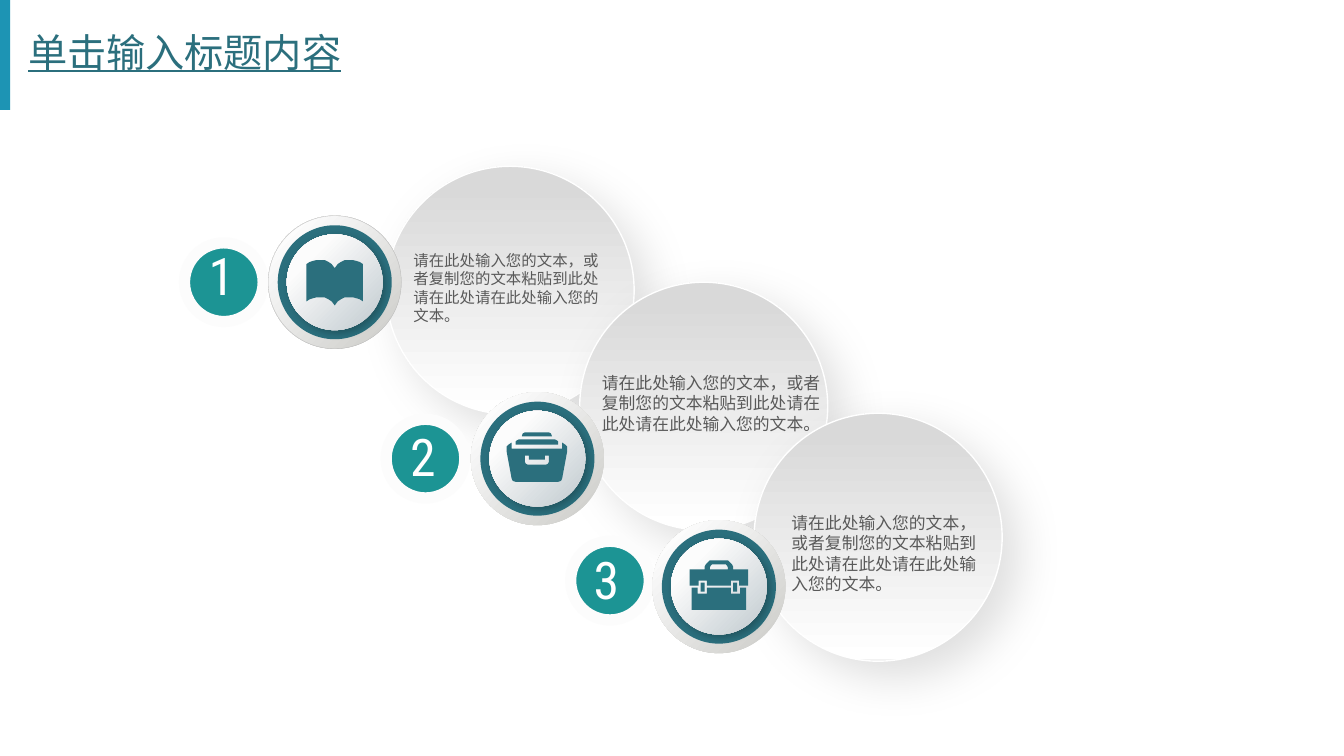
from dataclasses import dataclass

from pptx import Presentation
from pptx.dml.color import RGBColor
from pptx.enum.shapes import MSO_SHAPE
from pptx.enum.text import MSO_ANCHOR, MSO_AUTO_SIZE
from pptx.oxml import parse_xml
from pptx.oxml.ns import nsdecls, qn
from pptx.util import Inches, Pt

TEAL = RGBColor(0x1C, 0x94, 0x94)
DARK_TEAL = RGBColor(0x2B, 0x6F, 0x7D)
BLUE = RGBColor(0x1D, 0x94, 0xB4)
WHITE = RGBColor(0xFF, 0xFF, 0xFF)
NEAR_WHITE = RGBColor(0xFC, 0xFC, 0xFC)
PALE_GREY = RGBColor(0xD9, 0xD9, 0xD9)
WARM_GREY = RGBColor(0xD0, 0xD0, 0xCD)
COOL_GREY = RGBColor(0xC1, 0xCA, 0xCF)
LINE_GREY = RGBColor(0xBF, 0xBF, 0xBF)
TEXT_GREY = RGBColor(0x59, 0x59, 0x59)

BODY = "请在此处输入您的文本，或者复制您的文本粘贴到此处请在此处请在此处输入您的文本。"
BUBBLE_SIZE, DISC_SIZE, BADGE_SIZE = 2.46, 1.32, 0.78

Points = list[tuple[int, int]]


@dataclass
class Gradient:
    stops: list[tuple[int, RGBColor]]
    angle: int


@dataclass
class Shadow:
    opacity: int
    blur: int
    distance: int


@dataclass
class Icon:
    center: float
    top: float
    contours: list[Points]  # hundredths of an inch from the center and top


@dataclass
class Step:
    bubble: tuple[float, float]
    text_box: tuple[float, float, float, float]
    text_size: int
    disc: tuple[float, float]
    badge: tuple[float, float]
    number_box: tuple[float, float, float, float]
    icon: Icon
    disc_line: RGBColor | None = None


BUBBLE_FILL = Gradient([(0, PALE_GREY), (1, WHITE), (92, PALE_GREY)], 270)
DISC_FILL = Gradient([(10, WARM_GREY), (86, NEAR_WHITE)], 225)
FACE_FILL = Gradient([(0, COOL_GREY), (76, NEAR_WHITE)], 225)
BUBBLE_SHADOW = Shadow(13, 33, 16)
FACE_SHADOW = Shadow(23, 6, 3)


def flipped(points: Points) -> Points:
    return [(-x, y) for x, y in reversed(points)]


def mirrored(right_half: Points) -> Points:
    """Complete an outline that is symmetrical about x = 0."""
    return right_half + flipped(right_half)


# Icon outlines
PAGE_EDGE = [(0, 8), (3, 4), (6, 2), (10, 0), (18, 0), (22, 1), (25, 2), (28, 4)]
BOOK = Icon(3.32, 2.58, [
    mirrored(PAGE_EDGE + [(x, y + 37) for x, y in reversed(PAGE_EDGE)])])
FILE_BOX = Icon(5.325, 4.29, [
    mirrored([(12, 0), (14, 1), (15, 4)]),
    mirrored([(18, 7), (20, 8), (21, 9), (21, 12)]),
    mirrored([(25, 16), (25, 10), (28, 12), (30, 14), (30, 19),
              (25, 46), (24, 48), (21, 49)]),
    mirrored([(8, 27), (8, 23), (12, 23), (12, 29), (11, 31), (9, 32)])])
LATCH = [(14, 22), (18, 22), (18, 31), (14, 31)]
BRIEFCASE = Icon(7.13, 5.56, [
    mirrored([(12, 27), (12, 33), (21, 33), (21, 27), (27, 27), (27, 49)]),
    LATCH, flipped(LATCH),
    mirrored([(7, 4), (8, 5), (9, 7), (9, 9)]),
    mirrored([(7, 0), (9, 0), (11, 2), (13, 4), (14, 6), (14, 9), (29, 9),
              (29, 25), (20, 25), (20, 20), (12, 20), (12, 25)])])

STEPS = [
    Step((3.83, 1.65), (3.97, 2.42, 2.24, 0.88), 11, (2.66, 2.14),
         (1.83, 2.41), (1.97, 2.37, 0.4, 0.72), BOOK, LINE_GREY),
    Step((5.75, 2.8), (5.84, 3.63, 2.46, 0.74), 12, (4.67, 3.89),
         (3.83, 4.16), (3.97, 4.16, 0.46, 0.72), FILE_BOX),
    Step((7.48, 4.1), (7.72, 5.02, 2.1, 0.94), 12, (6.47, 5.16),
         (5.66, 5.37), (5.79, 5.38, 0.48, 0.72), BRIEFCASE),
]


def paint(shape, fill: RGBColor | Gradient | None, line: RGBColor | None = None,
          line_width: float = 1, shadow: Shadow | None = None) -> None:
    shape.shadow.inherit = False
    properties = shape._element.spPr
    if isinstance(fill, Gradient):
        stops = "".join(f'<a:gs pos="{position * 1000}"><a:srgbClr val="{color}"/></a:gs>'
                        for position, color in fill.stops)
        properties.find(qn("a:prstGeom")).addnext(parse_xml(
            f'<a:gradFill {nsdecls("a")} rotWithShape="1"><a:gsLst>{stops}</a:gsLst>'
            f'<a:lin ang="{fill.angle * 60000}" scaled="0"/></a:gradFill>'))
    elif fill is None:
        shape.fill.background()
    else:
        shape.fill.solid()
        shape.fill.fore_color.rgb = fill
    if line is None:
        shape.line.fill.background()
    else:
        shape.line.color.rgb = line
        shape.line.width = Pt(line_width)
    if shadow:
        properties.find(qn("a:effectLst")).append(parse_xml(
            f'<a:outerShdw {nsdecls("a")} blurRad="{Pt(shadow.blur)}" '
            f'dist="{Pt(shadow.distance)}" dir="2700000" algn="tl" rotWithShape="0">'
            f'<a:srgbClr val="000000"><a:alpha val="{shadow.opacity * 1000}"/>'
            '</a:srgbClr></a:outerShdw>'))


def add_circle(slide, left: float, top: float, size: float, fill, **style) -> None:
    circle = slide.shapes.add_shape(
        MSO_SHAPE.OVAL, Inches(left), Inches(top), Inches(size), Inches(size))
    paint(circle, fill, **style)


def add_text(slide, text: str, box: tuple[float, float, float, float], *, size: int,
             font: str, color: RGBColor, margins: tuple[float, float] = (0.1, 0.05),
             wrap: bool = True, grow: bool = True, underline: bool = False,
             anchor=MSO_ANCHOR.TOP, line_spacing: float | None = None) -> None:
    frame = slide.shapes.add_textbox(*map(Inches, box)).text_frame
    frame.word_wrap = wrap
    frame.auto_size = MSO_AUTO_SIZE.SHAPE_TO_FIT_TEXT if grow else MSO_AUTO_SIZE.NONE
    frame.vertical_anchor = anchor
    frame.margin_left = frame.margin_right = Inches(margins[0])
    frame.margin_top = frame.margin_bottom = Inches(margins[1])
    paragraph = frame.paragraphs[0]
    paragraph.line_spacing = line_spacing
    run = paragraph.add_run()
    run.text = text
    run.font.size = Pt(size)
    run.font.name = font
    run.font.color.rgb = color
    if underline:
        run.font.underline = True
    run.font._element.find(qn("a:latin")).addnext(
        parse_xml(f'<a:ea {nsdecls("a")} typeface="{font}"/>'))


def add_icon(slide, icon: Icon) -> None:
    first, *others = icon.contours
    builder = slide.shapes.build_freeform(*first[0], scale=Inches(0.01))
    builder.add_line_segments(first[1:], close=True)
    for contour in others:
        builder.move_to(*contour[0])
        builder.add_line_segments(contour[1:], close=True)
    paint(builder.convert_to_shape(Inches(icon.center), Inches(icon.top)), DARK_TEAL)


def add_bubble(slide, step: Step) -> None:
    add_circle(slide, *step.bubble, BUBBLE_SIZE, BUBBLE_FILL, line=WHITE,
               shadow=BUBBLE_SHADOW)
    add_text(slide, BODY, step.text_box, size=step.text_size,
             font="Noto Sans CJK SC", color=TEXT_GREY, margins=(0.13, 0.07))


def add_marker(slide, number: int, step: Step) -> None:
    add_circle(slide, *step.badge, BADGE_SIZE, TEAL, line=NEAR_WHITE, line_width=8)
    add_text(slide, str(number), step.number_box, size=37, font="Roboto Condensed",
             color=WHITE, wrap=False)
    # Concentric disc, ring and face
    left, top = step.disc
    for size, fill, style in (
            (DISC_SIZE, DISC_FILL, {"line": step.disc_line, "line_width": 0.25}),
            (1.02, None, {"line": DARK_TEAL, "line_width": 8}),
            (0.95, FACE_FILL, {"shadow": FACE_SHADOW})):
        inset = (DISC_SIZE - size) / 2
        add_circle(slide, left + inset, top + inset, size, fill, **style)
    add_icon(slide, step.icon)


def main() -> None:
    presentation = Presentation()
    presentation.slide_width, presentation.slide_height = Inches(13.33), Inches(7.5)
    slide = presentation.slides.add_slide(presentation.slide_layouts[6])

    # Title with its side bar
    bar = slide.shapes.add_shape(MSO_SHAPE.RECTANGLE, 0, 0, Inches(0.1), Inches(1.09))
    paint(bar, BLUE)
    add_text(slide, "单击输入标题内容", (0.18, 0.2, 11.5, 0.68), size=28,
             font="Montserrat", color=DARK_TEAL, underline=True, grow=False,
             anchor=MSO_ANCHOR.MIDDLE, line_spacing=0.9)

    # Bubbles lie behind all the numbered markers
    for step in STEPS:
        add_bubble(slide, step)
    for number, step in enumerate(STEPS, start=1):
        add_marker(slide, number, step)

    presentation.save("out.pptx")


if __name__ == "__main__":
    main()
